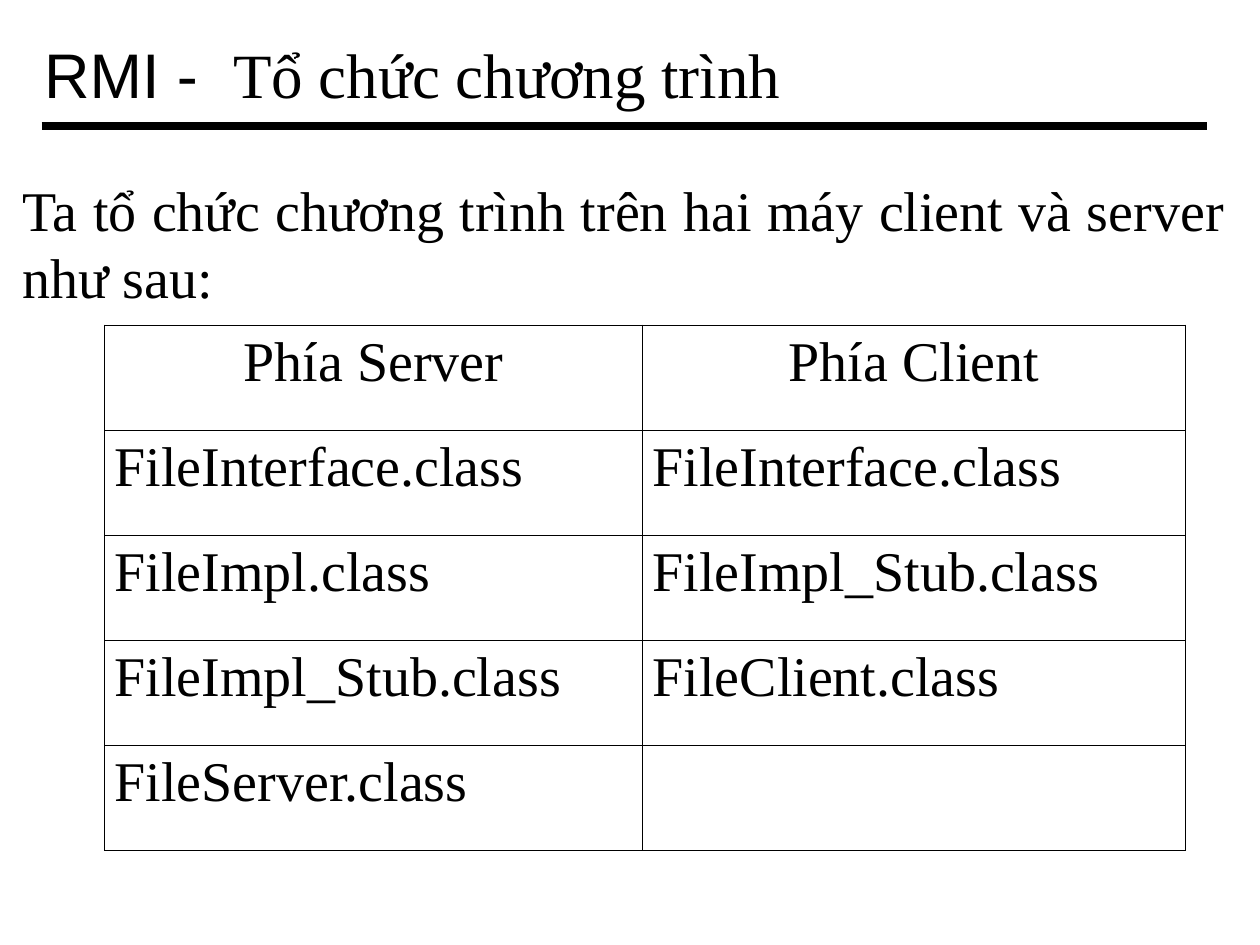
from dataclasses import dataclass

from lxml.etree import SubElement
from pptx import Presentation
from pptx.dml.color import RGBColor
from pptx.enum.shapes import MSO_CONNECTOR
from pptx.enum.text import MSO_ANCHOR, PP_ALIGN
from pptx.oxml import parse_xml
from pptx.oxml.ns import nsdecls, qn
from pptx.util import Inches, Pt

BLACK = RGBColor(0x00, 0x00, 0x00)
WHITE = RGBColor(0xFF, 0xFF, 0xFF)
SERIF = "Times New Roman"
SANS = "Arial"
BORDER_WIDTH = Pt(0.45)


@dataclass
class FileRow:
    server: str
    client: str = ""


ROWS = [
    FileRow("Phía Server", "Phía Client"),
    FileRow("FileInterface.class", "FileInterface.class"),
    FileRow("FileImpl.class", "FileImpl_Stub.class"),
    FileRow("FileImpl_Stub.class", "FileClient.class"),
    FileRow("FileServer.class"),
]


def add_run(p, text: str, size: int, name: str = SERIF) -> None:
    r = p.add_run()
    r.text = text
    for key, value in {"size": Pt(size), "name": name, "bold": False}.items():
        setattr(r.font, key, value)
    r.font.color.rgb = BLACK


def set_borders(cell) -> None:
    tc_pr = cell._tc.get_or_add_tcPr()
    for i, side in enumerate(("lnL", "lnR", "lnT", "lnB")):
        tc_pr.insert(i, parse_xml(
            f'<a:{side} {nsdecls("a")} w="{BORDER_WIDTH}"><a:solidFill>'
            f'<a:srgbClr val="{BLACK}"/></a:solidFill></a:{side}>'))


def fill_cell(cell, text: str, align: PP_ALIGN) -> None:
    margins = {"margin_left": 0.08, "margin_right": 0.08,
               "margin_top": 0.05, "margin_bottom": 0.05}
    for key, value in margins.items():
        setattr(cell, key, Inches(value))
    cell.fill.solid()
    cell.fill.fore_color.rgb = WHITE
    set_borders(cell)
    p = cell.text_frame.paragraphs[0]
    p.alignment = align
    p.font.size = Pt(32)
    if text:
        add_run(p, text, 32)


def add_title(s) -> None:
    sp = s.shapes.title
    sp.left, sp.top, sp.width, sp.height = map(Inches, (0.25, 0.17, 9.5, 0.83))
    tf = sp.text_frame
    tf.vertical_anchor = MSO_ANCHOR.MIDDLE
    p = tf.paragraphs[0]
    p.alignment = PP_ALIGN.LEFT
    add_run(p, "RMI -  ", 36, SANS)
    add_run(p, "Tổ chức chương trình", 36)


def add_rule(s) -> None:
    line = s.shapes.add_connector(MSO_CONNECTOR.STRAIGHT, Inches(0.33), Inches(1),
                                  Inches(9.58), Inches(1))
    line.line.color.rgb = BLACK
    line.line.width = Pt(4.5)
    SubElement(line._element.spPr, qn("a:effectLst"))


def add_file_table(s) -> None:
    frame = s.shapes.add_table(len(ROWS), 2, Inches(0.83), Inches(2.58),
                               Inches(8.58), Inches(4.17))
    table = frame.table
    table.first_row = table.horz_banding = False
    for column, width in zip(table.columns, (4.27, 4.31)):
        column.width = Inches(width)
    for i, row in enumerate(ROWS):
        align = PP_ALIGN.JUSTIFY if i else PP_ALIGN.CENTER
        for j, text in enumerate((row.server, row.client)):
            fill_cell(table.cell(i, j), text, align)


def add_intro(s) -> None:
    sp = s.shapes.add_textbox(Inches(0.08), Inches(1.34), Inches(9.75), Inches(1.17))
    tf = sp.text_frame
    tf.word_wrap = True
    tf.vertical_anchor = MSO_ANCHOR.MIDDLE
    p = tf.paragraphs[0]
    p.alignment = PP_ALIGN.JUSTIFY
    add_run(p, "Ta tổ chức chương trình trên hai máy client và server như sau:", 32)


def main() -> None:
    prs = Presentation()
    prs.slide_width, prs.slide_height = Inches(10), Inches(7.5)
    s = prs.slides.add_slide(prs.slide_layouts[5])  # Title Only
    add_title(s)
    add_rule(s)
    add_file_table(s)
    add_intro(s)
    prs.save("out.pptx")


if __name__ == "__main__":
    main()
